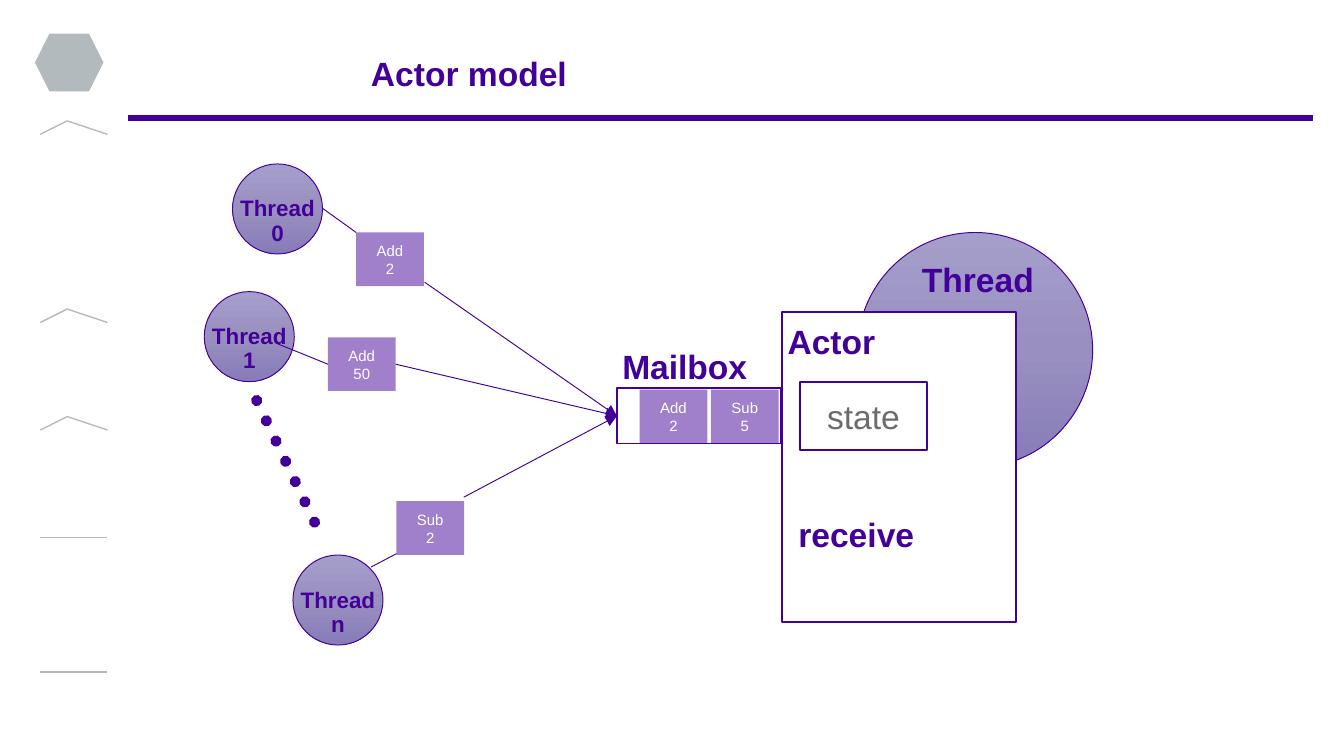
from copy import deepcopy

from pptx import Presentation
from pptx.dml.color import RGBColor
from pptx.enum.dml import MSO_LINE
from pptx.enum.shapes import MSO_CONNECTOR, MSO_SHAPE
from pptx.enum.text import MSO_ANCHOR, PP_ALIGN
from pptx.oxml.ns import qn
from pptx.oxml.xmlchemy import OxmlElement
from pptx.util import Inches, Pt

COLUMNS, ROWS = 100, 56.25
CELL = Inches(0.1)

PURPLE = RGBColor(0x43, 0x00, 0x99)
SILVER = RGBColor(0xB3, 0xBA, 0xBE)
GRAY = RGBColor(0x6C, 0x6D, 0x6B)
WHITE = RGBColor(0xFF, 0xFF, 0xFF)
THREAD_STOPS = (
    (0, RGBColor(0xA5, 0x9D, 0xCA)),
    (0.5, RGBColor(0x99, 0x90, 0xC0)),
    (1, RGBColor(0x87, 0x7C, 0xB8)),
)

RECTANGLE, OVAL, HEXAGON = MSO_SHAPE.RECTANGLE, MSO_SHAPE.OVAL, MSO_SHAPE.HEXAGON
STRAIGHT = MSO_CONNECTOR.STRAIGHT
LEFT, CENTER = PP_ALIGN.LEFT, PP_ALIGN.CENTER
MIDDLE = MSO_ANCHOR.MIDDLE
DOTTED = MSO_LINE.ROUND_DOT
LEFT_SIDE, RIGHT_SIDE = 1, 3

LABEL_FRAME = {
    "margin_left": Inches(0.04), "margin_right": Inches(0.04),
    "margin_top": 0, "margin_bottom": 0,
    "vertical_anchor": MIDDLE, "word_wrap": True,
}
BOX_FRAME = {"vertical_anchor": MIDDLE, "word_wrap": True}
HEADING = {"size": Pt(18), "bold": True}
THREAD_NAME = {"size": Pt(12), "bold": True}
STATE_NAME = {"size": Pt(18), "bold": False}
MESSAGE_NAME = {"size": Pt(8), "bold": False}

LABEL_HEIGHT = 4.7
THREAD_SIZE = 6.7
MESSAGE_WIDTH, MESSAGE_HEIGHT = 5.04, 4


def cells(*counts):
    return [round(count * CELL) for count in counts]


def apply(target, values):
    for key, value in values.items():
        setattr(target, key, value)


def write(frame, lines, font, color, align, frame_format, spacing=None):
    apply(frame, frame_format)
    frame.text = "\n".join(lines)
    for paragraph in frame.paragraphs:
        apply(paragraph, {"alignment": align, "line_spacing": spacing})
        for run in paragraph.runs:
            apply(run.font, {"name": "Arial", **font})
            run.font.color.rgb = color


def add_label(slide, place, lines, font=HEADING, align=LEFT):
    label = slide.shapes.add_textbox(*cells(*place))
    write(label.text_frame, lines, font, PURPLE, align, LABEL_FRAME, 0.9)


def add_figure(slide, kind, place, fill=None, outline=None):
    figure = slide.shapes.add_shape(kind, *cells(*place))
    figure.shadow.inherit = False
    if fill is not None:
        figure.fill.solid()
        figure.fill.fore_color.rgb = fill
    if outline:
        figure.line.color.rgb = PURPLE
        figure.line.width = Pt(outline)
    else:
        figure.line.fill.background()
    return figure


def add_thread_circle(slide, left, top, size):
    circle = add_figure(slide, OVAL, (left, top, size, size), outline=0.5)
    circle.fill.gradient()
    circle.fill.gradient_angle = 270
    stop_list = circle.element.spPr.find(qn("a:gradFill")).find(qn("a:gsLst"))
    stop_list.insert(1, deepcopy(stop_list[0]))
    for stop, (position, color) in zip(circle.fill.gradient_stops, THREAD_STOPS):
        stop.position = position
        stop.color.rgb = color


def add_sender(slide, left, top, name):
    add_thread_circle(slide, left, top, THREAD_SIZE)
    add_label(slide, (left, top + 1.95, THREAD_SIZE, LABEL_HEIGHT),
              ["Thread", name], THREAD_NAME, CENTER)


def add_message(slide, left, top, action, amount):
    message = add_figure(slide, RECTANGLE,
                         (left, top, MESSAGE_WIDTH, MESSAGE_HEIGHT), PURPLE)
    alpha = OxmlElement("a:alpha")
    alpha.set("val", "50000")
    message.element.spPr.find(qn("a:solidFill"))[0].append(alpha)
    write(message.text_frame, [action, amount], MESSAGE_NAME, WHITE, CENTER, BOX_FRAME)
    return message


def add_line(slide, start, end, width=0.5, source=None, target=None):
    line = slide.shapes.add_connector(STRAIGHT, *cells(*start, *end))
    line.line.color.rgb = PURPLE
    line.line.width = Pt(width)
    line.element.spPr.append(OxmlElement("a:effectLst"))
    if source is not None:
        line.begin_connect(source, RIGHT_SIDE)
    if target is not None:
        line.end_connect(target, LEFT_SIDE)
    return line


def add_arrow(slide, start, end, source, target):
    arrow = add_line(slide, start, end, source=source, target=target)
    head = OxmlElement("a:tailEnd")
    head.set("type", "triangle")
    arrow.line._get_or_add_ln().append(head)


def add_dots(slide, start, end):
    dots = add_line(slide, start, end, 6)
    dots.line.dash_style = DOTTED
    dots.line._get_or_add_ln().set("cap", "rnd")


def add_side_marks(slide):
    marks = ((10, 8.8), (24, 23), (32, 31.4), (40.1, 39.8), (50.1, 50.1))
    builder = slide.shapes.build_freeform(2.6, marks[0][0], scale=CELL)
    for base, peak in marks:
        builder.move_to(2.6, base)
        builder.add_line_segments([(5.1, peak), (7.65, base)], close=False)
    chevrons = builder.convert_to_shape()
    chevrons.shadow.inherit = False
    chevrons.fill.background()
    chevrons.line.color.rgb = SILVER
    chevrons.line.width = Pt(0.75)


def add_frame(slide):
    add_figure(slide, HEXAGON, (2.6, 2.5, 5.1, 4.3), SILVER)
    add_side_marks(slide)
    add_line(slide, (9.5, 8.8), (97.7, 8.8), 3)
    add_label(slide, (27.2, 3.3, 80 - 10, LABEL_HEIGHT), ["Actor model"])


def add_actor(slide):
    add_thread_circle(slide, 63.8, 17.3, 17.5)
    add_figure(slide, RECTANGLE, (58.2, 23.2, 17.4, 23.1), WHITE, 1)
    add_label(slide, (58.2, 23.2, 17.4, LABEL_HEIGHT), ["Actor"])
    mailbox = add_figure(slide, RECTANGLE, (45.9, 28.9, 12.2, 4.1), WHITE, 1)
    add_label(slide, (45.9, 25.1, 17.4, LABEL_HEIGHT), ["Mailbox"])
    add_label(slide, (68.2, 18.6, 9.7, LABEL_HEIGHT), ["Thread"])
    state = add_figure(slide, RECTANGLE, (59.5, 28.4, 9.5, 5.1), WHITE, 1)
    write(state.text_frame, ["state"], STATE_NAME, GRAY, CENTER, BOX_FRAME)
    add_message(slide, 52.9, 29, "Sub", "5")
    add_message(slide, 47.6, 29, "Add", "2")
    add_label(slide, (59, 37.6, 14.7, LABEL_HEIGHT), ["receive"])
    return mailbox


def add_senders(slide, mailbox):
    for left, top, name in ((17.3, 12.2, "0"), (15.2, 21.7, "1"), (21.8, 41.3, "n")):
        add_sender(slide, left, top, name)
    add_dots(slide, (19.1, 29.8), (24, 40.1))
    add_message(slide, 26.5, 17.3, "Add", "2")
    add_fifty = add_message(slide, 24.4, 25.1, "Add", "50")
    add_message(slide, 29.5, 37.3, "Sub", "2")
    add_line(slide, (24, 15.5), (26.5, 17.3))
    add_line(slide, (20.7, 25.6), (24.4, 27.1), target=add_fifty)
    add_line(slide, (27.6, 42.2), (29.5, 41.2))
    for start, source in (((31.6, 21), None), ((29.5, 27.1), add_fifty),
                          ((34.5, 37), None)):
        add_arrow(slide, start, (45.9, 31), source, mailbox)


def main():
    deck = Presentation()
    deck.slide_width, deck.slide_height = cells(COLUMNS, ROWS)
    slide = deck.slides.add_slide(deck.slide_layouts[6])
    add_frame(slide)
    mailbox = add_actor(slide)
    add_senders(slide, mailbox)
    deck.save("out.pptx")


if __name__ == "__main__":
    main()
